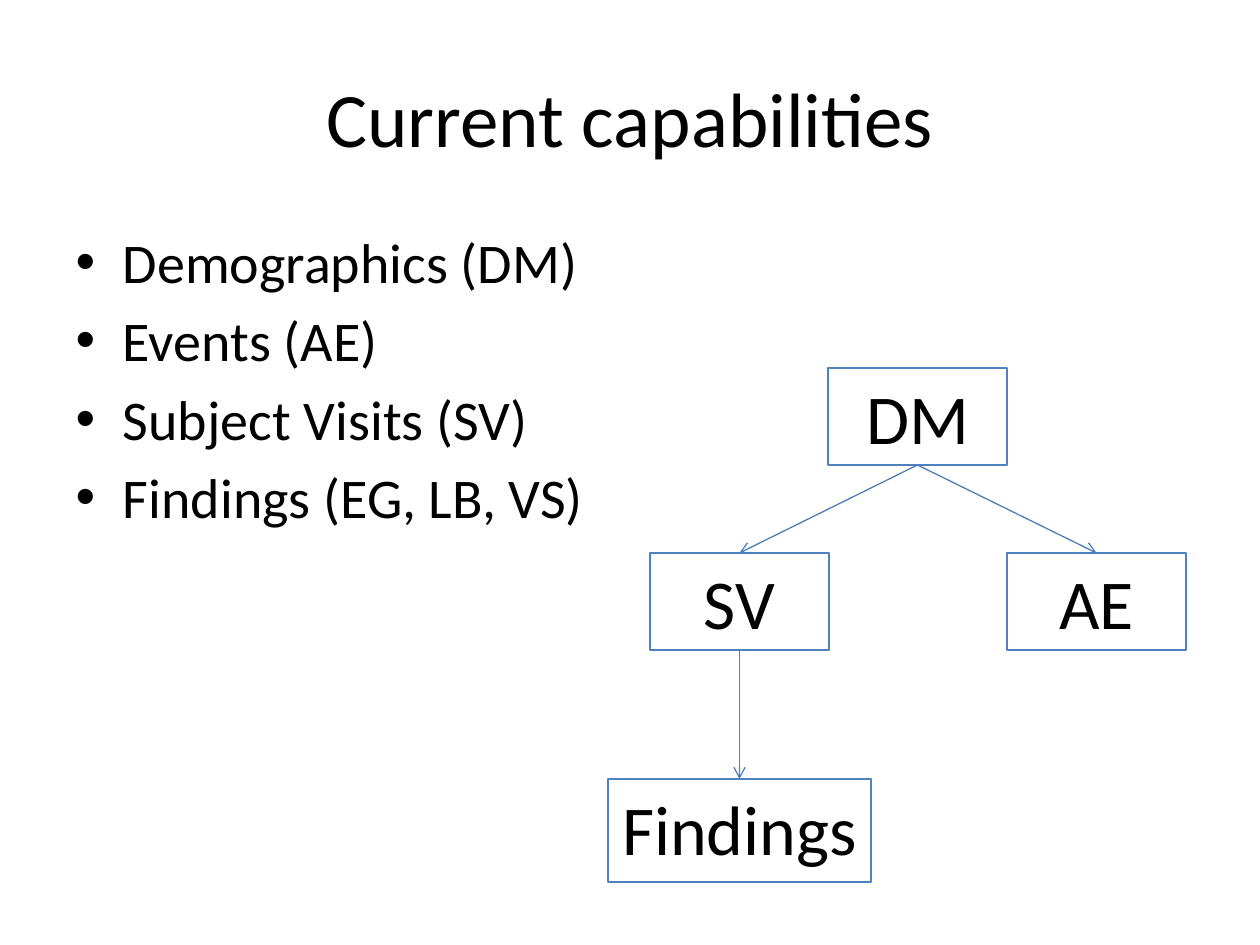
from dataclasses import dataclass

from lxml.etree import SubElement
from pptx import Presentation
from pptx.dml.color import RGBColor
from pptx.enum.shapes import MSO_CONNECTOR, MSO_SHAPE
from pptx.enum.text import MSO_ANCHOR, MSO_AUTO_SIZE, PP_ALIGN
from pptx.oxml.ns import qn
from pptx.util import Emu, Pt

EMU_PER_PX = 914400 / 126
BLACK = RGBColor(0x00, 0x00, 0x00)
BOX_BLUE = RGBColor(0x4F, 0x81, 0xBD)
ARROW_BLUE = RGBColor(0x4B, 0x7E, 0xBC)
FONT = "Calibri"
BOTTOM, TOP = 2, 0


@dataclass
class Domain:
    name: str
    left: int
    top: int
    width: int = 179
    height: int = 97


DOMAINS = [
    Domain("DM", 828, 368),
    Domain("SV", 650, 553),
    Domain("AE", 1007, 553),
    Domain("Findings", 608, 779, 263, 103),
]
LINKS = [("DM", "SV"), ("DM", "AE"), ("SV", "Findings")]
CAPABILITIES = ["Demographics (DM)", "Events (AE)", "Subject Visits (SV)", "Findings (EG, LB, VS)"]


def px(length: int) -> Emu:
    return Emu(round(length * EMU_PER_PX))


def place(shape, left: int, top: int, width: int, height: int) -> None:
    shape.left, shape.top = px(left), px(top)
    shape.width, shape.height = px(width), px(height)


def write(frame, *lines: str, size: int, align=None, anchor=MSO_ANCHOR.TOP) -> None:
    """Fill a text frame with one paragraph per line."""
    frame.vertical_anchor = anchor
    for index, line in enumerate(lines):
        para = frame.add_paragraph() if index else frame.paragraphs[0]
        para.alignment = align
        span = para.add_run()
        span.text = line
        span.font.name = FONT
        span.font.size = Pt(size)
        span.font.color.rgb = BLACK


def draw_domain(page, domain: Domain):
    box = page.shapes.add_shape(
        MSO_SHAPE.RECTANGLE, px(domain.left), px(domain.top), px(domain.width), px(domain.height)
    )
    box.shadow.inherit = False
    box.fill.background()
    box.line.color.rgb = BOX_BLUE
    box.line.width = Pt(0.75)
    write(box.text_frame, domain.name, size=40, align=PP_ALIGN.CENTER)
    box.text_frame.auto_size = MSO_AUTO_SIZE.SHAPE_TO_FIT_TEXT
    return box


def draw_arrow(page, parent, child) -> None:
    arrow = page.shapes.add_connector(MSO_CONNECTOR.STRAIGHT, 0, 0, 0, 0)
    arrow.begin_connect(parent, BOTTOM)
    arrow.end_connect(child, TOP)
    arrow.line.color.rgb = ARROW_BLUE
    arrow.line.width = Pt(0.75)
    SubElement(arrow.line._get_or_add_ln(), qn("a:tailEnd"), type="arrow")
    SubElement(arrow._element.spPr, qn("a:effectLst"))


def main() -> None:
    deck = Presentation()
    deck.slide_width, deck.slide_height = px(1260), px(945)
    page = deck.slides.add_slide(deck.slide_layouts[1])

    # Title and bullet list
    title, body = page.shapes.title, page.placeholders[1]
    place(title, 63, 38, 1134, 158)
    write(title.text_frame, "Current capabilities", size=44,
          align=PP_ALIGN.CENTER, anchor=MSO_ANCHOR.MIDDLE)
    place(body, 63, 221, 1134, 624)
    write(body.text_frame, *CAPABILITIES, size=32)

    # Domain tree
    boxes = {domain.name: draw_domain(page, domain) for domain in DOMAINS}
    for parent, child in LINKS:
        draw_arrow(page, boxes[parent], boxes[child])

    deck.save("out.pptx")


if __name__ == "__main__":
    main()
